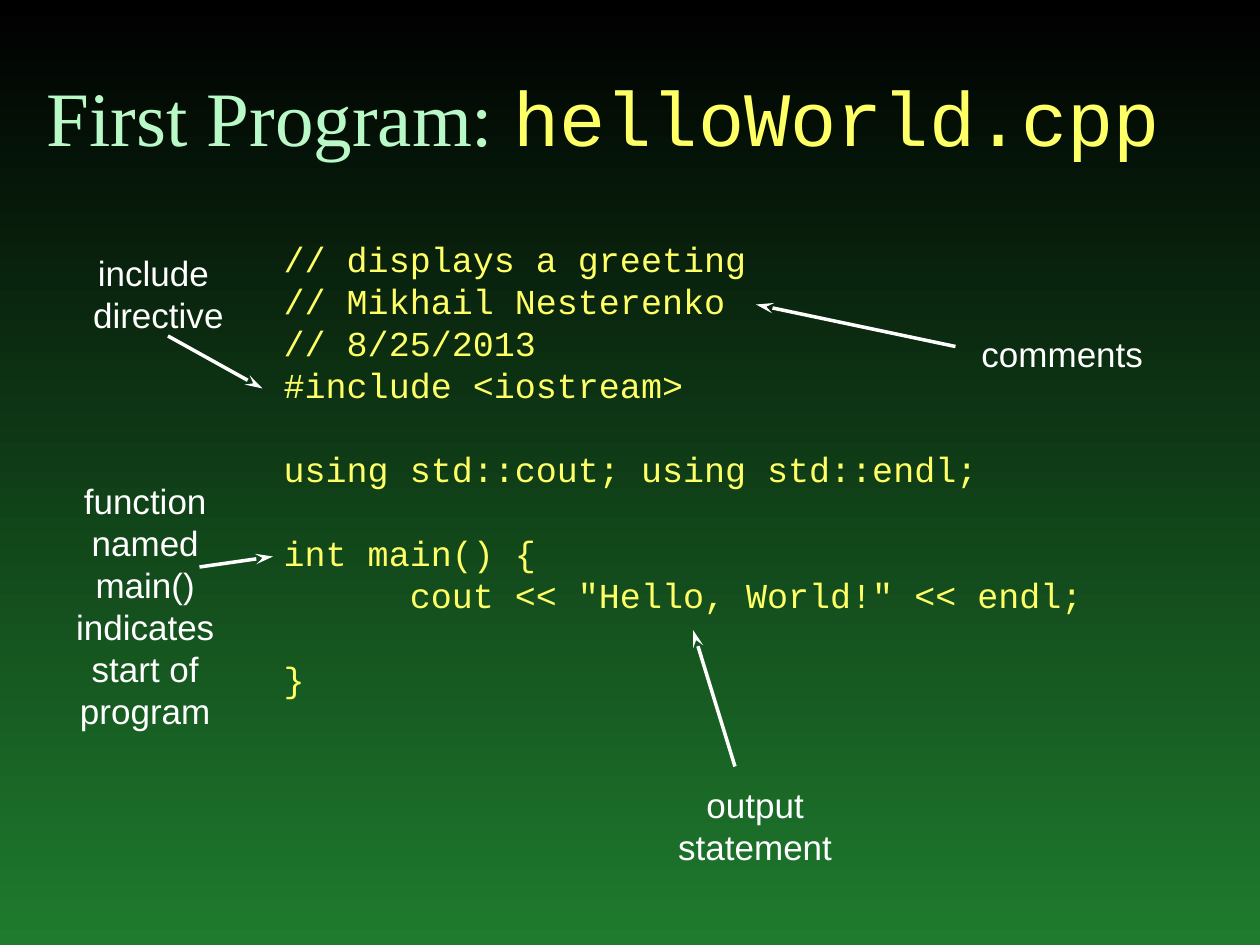
from lxml.etree import SubElement
from pptx import Presentation
from pptx.dml.color import RGBColor
from pptx.enum.shapes import MSO_CONNECTOR
from pptx.enum.text import MSO_ANCHOR, PP_ALIGN
from pptx.oxml.ns import qn
from pptx.util import Pt

WHITE, LIME, MINT = "FFFFFF", "FFFF66", "B9F9C8"
SANS, SERIF, MONO = "Arial", "Times New Roman", "Courier New"


def color(text):
    """Turn a hex string into a colour."""
    return RGBColor.from_string(text)


class Deck:
    """Holds the text style and the current slide."""

    size = 20
    pitch = 24

    def __init__(self):
        """Open a deck with one blank slide."""
        self.show = Presentation()
        self.show.slide_width, self.show.slide_height = Pt(720), Pt(540)
        self.slide = self.show.slides.add_slide(self.show.slide_layouts[6])

    def back(self, top, bottom):
        """Fill the slide with a vertical gradient."""
        fill = self.slide.background.fill
        fill.gradient()
        fill.gradient_angle = 270
        for stop, tone, place in zip(fill.gradient_stops, (top, bottom), (0, 1)):
            stop.color.rgb = color(tone)
            stop.position = place

    def frame(self, box, wrap=True):
        """Add a text box and return its frame."""
        frame = self.slide.shapes.add_textbox(*map(Pt, box)).text_frame
        frame.word_wrap = wrap
        return frame

    def style(self, font, face, size, tone):
        """Set face, size and colour of a font."""
        font.name, font.size = face, Pt(size)
        font.color.rgb = color(tone)

    def title(self, box, parts):
        """Add a centred title of differently styled parts."""
        frame = self.frame(box)
        frame.vertical_anchor = MSO_ANCHOR.BOTTOM
        para = frame.paragraphs[0]
        para.alignment = PP_ALIGN.CENTER
        for text, face, tone in parts:
            run = para.add_run()
            run.text = text
            self.style(run.font, face, 44, tone)

    def lines(self, frame, texts, face, tone, align):
        """Write one paragraph per text on an even pitch."""
        for spot, text in enumerate(texts):
            para = frame.add_paragraph() if spot else frame.paragraphs[0]
            para.text = text
            para.alignment = align
            para.line_spacing = Pt(self.pitch)
            self.style(para.font, face, self.size, tone)

    def code(self, box, blocks):
        """Add a listing with one line of space between blocks."""
        frame = self.frame(box)
        self.lines(frame, sum(blocks, []), MONO, LIME, PP_ALIGN.LEFT)
        start = 0
        for block in blocks[:-1]:
            start += len(block)
            frame.paragraphs[start].space_before = Pt(self.pitch)

    def label(self, box, texts, wrap=False):
        """Add a centred note."""
        self.lines(self.frame(box, wrap), texts, SANS, WHITE, PP_ALIGN.CENTER)

    def arrow(self, tip, end):
        """Add a line with a long stealth head at its tip."""
        line = self.slide.shapes.add_connector(
            MSO_CONNECTOR.STRAIGHT, *map(Pt, tip + end))
        line.line.color.rgb = color(WHITE)
        line.line.width = Pt(2)
        SubElement(line.line._get_or_add_ln(), qn("a:headEnd"),
                   type="stealth", len="lg")
        SubElement(line._element.spPr, qn("a:effectLst"))


def main():
    """Build and save the slide."""
    deck = Deck()
    deck.back("000000", "1F7B2E")
    deck.code((155, 132, 475, 271), [
        ["// displays a greeting", "// Mikhail Nesterenko",
         "// 8/25/2013", "#include <iostream>"],
        ["using std::cout; using std::endl;"],
        ["int main() {", '      cout << "Hello, World!" << endl;'],
        ["}"],
    ])
    deck.title((12, 18, 666, 78), [
        ("First Program: ", SERIF, MINT), ("helloWorld.cpp", MONO, LIME)])
    deck.label((45, 140, 91, 55), ["include ", "directive"])
    deck.label((378, 444, 107, 55), ["output", "statement"])
    deck.label((552, 186.5, 110, 31), ["comments"])
    deck.label((28.5, 270.5, 109, 151),
               ["function named main() indicates start of program"], True)
    for tip, end in [
        ((150, 222), (96, 192)),
        ((396, 360), (420, 438)),
        ((432, 174), (546, 198)),
        ((156, 318), (114, 324)),
    ]:
        deck.arrow(tip, end)
    deck.show.save("out.pptx")


if __name__ == "__main__":
    main()
